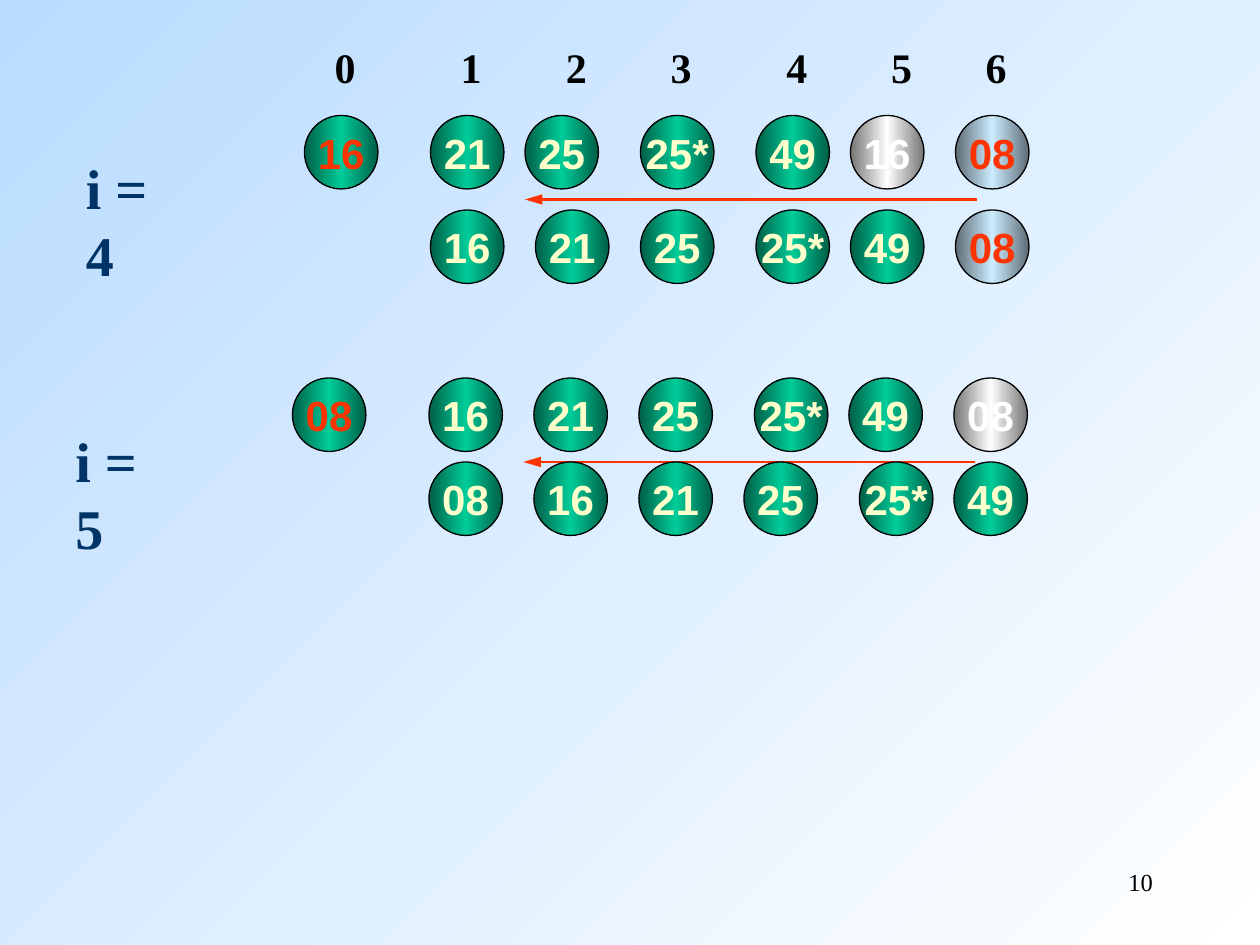
from copy import deepcopy
from dataclasses import dataclass

from lxml.etree import SubElement
from pptx import Presentation
from pptx.dml.color import RGBColor
from pptx.enum.shapes import MSO_CONNECTOR as Connector, MSO_SHAPE as Shape
from pptx.enum.text import MSO_ANCHOR as Anchor, MSO_AUTO_SIZE as AutoSize, PP_ALIGN as Align
from pptx.oxml.ns import qn
from pptx.util import Inches, Pt


@dataclass(frozen=True)
class Theme:
    backdrop: tuple = ("FFFFFF", "B9DCFF")
    green: tuple = ("005E46", "00CC99", "005E46")
    silver: tuple = ("757575", "FFFFFF", "757575")
    blue: tuple = ("5E6C75", "CCECFF", "5E6C75")
    ink: str = "000000"
    navy: str = "003366"
    cream: str = "FFFFCC"
    white: str = "FFFFFF"
    red: str = "FF3300"
    serif: str = "Times New Roman"
    sans: str = "Arial"
    label_size: int = 32
    key_size: int = 24
    page_size: int = 14


class Board:
    """Style and slide; lengths are cells of a grid with 12 cells to the inch."""

    def __init__(self, prs, theme):
        self.theme = theme
        self.cell = prs.slide_width / 120
        self.s = prs.slides.add_slide(prs.slide_layouts[6])
        self.gradient(self.s.background.fill, self.s.element, theme.backdrop, 135)

    def cells(self, *values):
        return [round(v * self.cell) for v in values]

    def gradient(self, fill, element, colors, angle):
        fill.gradient()
        fill.gradient_angle = angle
        stops = next(element.iter(qn("a:gsLst")))
        if len(colors) == 3:
            stops.insert(1, deepcopy(stops[0]))
        for i, (stop, color) in enumerate(zip(fill.gradient_stops, colors)):
            stop.position = i / (len(colors) - 1)
            stop.color.rgb = RGBColor.from_string(color)

    def run(self, p, text, size, font, color, bold=True):
        r = p.add_run()
        r.text = text
        r.font.size, r.font.name, r.font.bold = Pt(size), font, bold
        r.font.color.rgb = RGBColor.from_string(color)

    def text(self, box, text, size, color, bold=True, align=Align.LEFT, wrap=True, tabs=()):
        sp = self.s.shapes.add_textbox(*self.cells(*box))
        tf = sp.text_frame
        tf.word_wrap = wrap
        tf.auto_size = AutoSize.NONE if wrap else AutoSize.SHAPE_TO_FIT_TEXT
        p = tf.paragraphs[0]
        p.alignment = align
        if tabs:
            tab_list = SubElement(next(sp.element.iter(qn("a:pPr"))), qn("a:tabLst"))
            for pos in self.cells(*tabs):
                SubElement(tab_list, qn("a:tab"), pos=str(pos), algn="l")
        self.run(p, text, size, self.theme.serif, color, bold)

    def ball(self, x, y, key, fill, color):
        sp = self.s.shapes.add_shape(Shape.OVAL, *self.cells(x, y, 7, 7))
        sp.shadow.inherit = False
        self.gradient(sp.fill, sp.element, fill, 180)
        sp.line.color.rgb = RGBColor.from_string(self.theme.ink)
        sp.line.width = Pt(0.75)
        tf = sp.text_frame
        tf.word_wrap = False
        tf.vertical_anchor = Anchor.MIDDLE
        p = tf.paragraphs[0]
        p.alignment = Align.CENTER
        self.run(p, key, self.theme.key_size, self.theme.sans, color)

    def arrow(self, x1, x2, y):
        x1, x2, y = self.cells(x1, x2, y)
        line = self.s.shapes.add_connector(Connector.STRAIGHT, x1, y, x2, y)
        line.line.color.rgb = RGBColor.from_string(self.theme.red)
        line.line.width = Pt(1.5)
        ln = next(line.element.iter(qn("a:ln")))
        SubElement(ln, qn("a:tailEnd"), type="triangle", w="med", len="lg")
        SubElement(line.element.spPr, qn("a:effectLst"))


def main():
    prs = Presentation()
    prs.slide_width, prs.slide_height = Inches(10), Inches(7.5)
    t = Theme()
    board = Board(prs, t)

    # Kinds of ball: fill and text colour
    plain, held = (t.green, t.cream), (t.green, t.red)
    vacated, waiting = (t.silver, t.white), (t.blue, t.red)

    # Insertion passes: label and its place, x shift, arrow row, rows of (column, key, kind)
    passes = [
        ("i = 4", 7, 14, 0, 19, {
            11: [(29, "16", held), (41, "21", plain), (50, "25", plain), (61, "25*", plain),
                 (72, "49", plain), (81, "16", vacated), (91, "08", waiting)],
            20: [(41, "16", plain), (51, "21", plain), (61, "25", plain),
                 (72, "25*", plain), (81, "49", plain), (91, "08", waiting)],
        }),
        ("i = 5", 6, 40, -0.15, 44, {
            36: [(28, "08", held), (41, "16", plain), (51, "21", plain), (61, "25", plain),
                 (72, "25*", plain), (81, "49", plain), (91, "08", vacated)],
            44: [(41, "08", plain), (51, "16", plain), (61, "21", plain),
                 (71, "25", plain), (82, "25*", plain), (91, "49", plain)],
        }),
    ]
    for label, x, y, shift, arrow_row, rows in passes:
        board.text((x, y, 12.2, 7.7), label, t.label_size, t.navy, wrap=False)
        board.arrow(93 + shift, 50 + shift, arrow_row)
        for row, balls in rows.items():
            for column, key, kind in balls:
                board.ball(column + shift, row, key, *kind)

    # Array indices
    board.text((30.7, 3.4, 67.3, 6), "\t".join(map(str, range(7))), t.key_size, t.ink,
               tabs=(12, 22, 32, 43, 53, 62))

    # Page number
    board.text((86, 82, 25, 6), "10", t.page_size, t.ink, bold=False, align=Align.RIGHT)

    prs.save("out.pptx")


if __name__ == "__main__":
    main()
